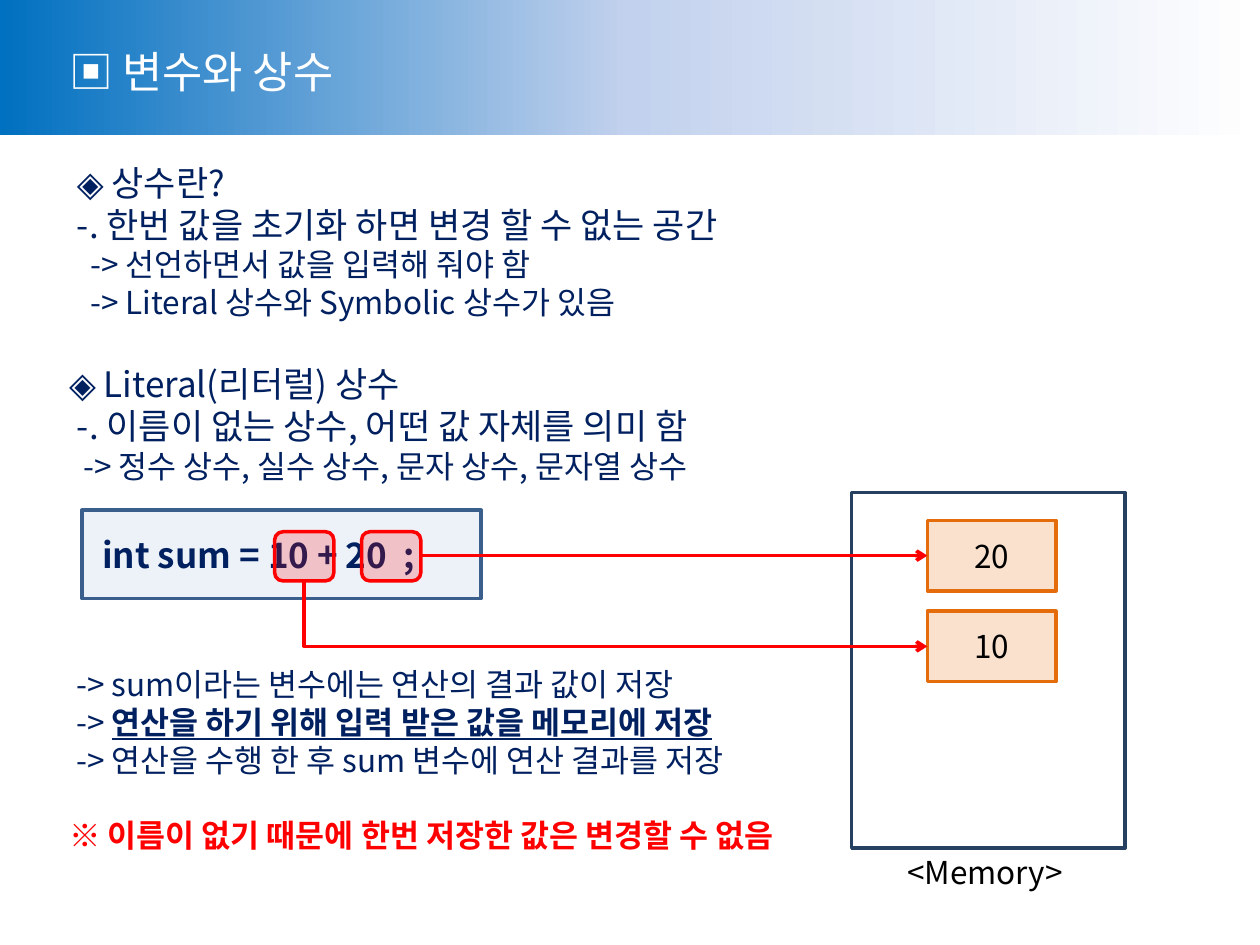
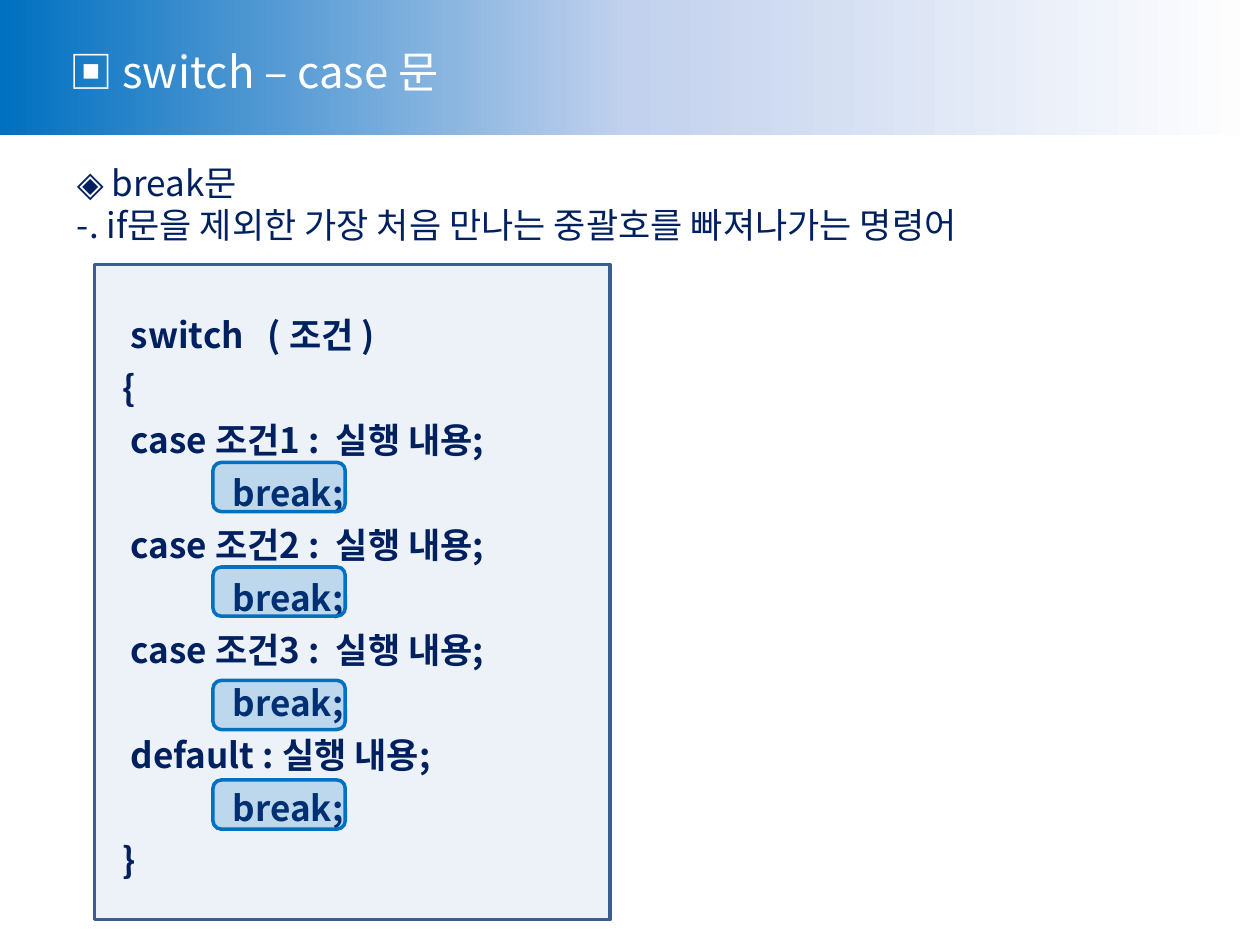
import copy
from dataclasses import dataclass

import pptx
import pptx.dml.color
import pptx.enum.dml
import pptx.enum.shapes
import pptx.enum.text
import pptx.oxml.ns
import pptx.util
from lxml import etree

Inches, Pt = pptx.util.Inches, pptx.util.Pt
qn = pptx.oxml.ns.qn
SHAPE = pptx.enum.shapes.MSO_SHAPE
CONNECTOR = pptx.enum.shapes.MSO_CONNECTOR
ALIGN = pptx.enum.text.PP_ALIGN


@dataclass(frozen=True)
class Theme:
    font: str = "Noto Sans CJK KR"
    navy: str = "002060"
    white: str = "FFFFFF"
    black: str = "000000"
    red: str = "FF0000"
    blue: str = "0070C0"
    orange: str = "E46C0A"
    frame: str = "254061"
    code_fill: str = "4F81BD"
    code_line: str = "3A5F8C"
    band: tuple = ((0, "0070C0"), (0.5, "C2D1ED"), (1, "FFFFFF"))
    title: int = 25
    head: int = 20
    body: int = 18
    line: int = 2
    code_leading: int = 30
    space: float = 0.224


T = Theme()
W, H = 10, 7.5
LEFT, TITLE_TOP, BODY_TOP, BAND_H = 0.45, 0.31, 1.23, 1.07
TAG_H = 0.39

# Each line: size, indent in spaces, space before in points, runs of (text, style)
CONSTANT_LINES = [
    (T.head, 1, 0, [("◈ 상수란?", {})]),
    (T.head, 1, 0, [("-. 한번 값을 초기화 하면 변경 할 수 없는 공간", {})]),
    (T.body, 3, 0, [("-> 선언하면서 값을 입력해 줘야 함", {})]),
    (T.body, 3, 0, [("-> Literal 상수와 Symbolic 상수가 있음", {})]),
    (T.head, 0, 24, [("◈ Literal(리터럴) 상수", {})]),
    (T.head, 1, 0, [("-. 이름이 없는 상수, 어떤 값 자체를 의미 함", {})]),
    (T.body, 2, 0, [("-> 정수 상수, 실수 상수, 문자 상수, 문자열 상수", {})]),
]
RESULT_LINES = [
    (T.body, 1, 0, [("-> sum이라는 변수에는 연산의 결과 값이 저장", {})]),
    (T.body, 1, 0, [("-> ", {}), ("연산을 하기 위해 입력 받은 값을 메모리에 저장",
                                  {"bold": True, "underline": True})]),
    (T.body, 1, 0, [("-> 연산을 수행 한 후 sum 변수에 연산 결과를 저장", {})]),
    (T.body, 0, 21.5, [("※ 이름이 없기 때문에 한번 저장한 값은 변경할 수 없음",
                        {"bold": True, "color": T.red})]),
]
BREAK_LINES = [
    (T.head, 1, 0, [("◈ break문", {})]),
    (T.head, 1, 0, [("-. if문을 제외한 가장 처음 만나는 중괄호를 빠져나가는 명령어", {})]),
]
SUM_CODE = [" int sum = 10 + 20  ;"]
SWITCH_CODE = ["   switch   ( 조건 )", "  {"]
for label in ("case 조건1 : ", "case 조건2 : ", "case 조건3 : ", "default :"):
    SWITCH_CODE += [f"   {label} 실행 내용;", "\tbreak;"]
SWITCH_CODE.append("  }")

MEMORY = (6.76, 3.91, 2.17, 2.82)
CELL_LEFT, CELL_TOP, CELL_W, CELL_H, CELL_STEP = 7.36, 4.13, 1.02, 0.56, 0.72
CELLS = ["20", "10"]
LITERAL_LEFTS, LITERAL_TOP, LITERAL_W = (2.87, 2.18), 4.22, 0.47
BREAK_LEFT, BREAK_TOPS, BREAK_W = 1.69, (3.67, 4.5, 5.4, 6.19), 1.05


def rgb(color):
    return pptx.dml.color.RGBColor.from_string(color)


def add_run(p, text, size, color=T.navy, bold=False, underline=False):
    r = p.add_run()
    r.text = text
    f = r.font
    f.name, f.size, f.bold, f.underline = T.font, Pt(size), bold, underline
    f.color.rgb = rgb(color)
    etree.SubElement(f._element, qn("a:ea"), typeface=T.font)


def paragraphs(tf, items):
    for i, item in enumerate(items):
        yield (tf.add_paragraph() if i else tf.paragraphs[0]), item


def add_text(s, at, lines, wrap=True):
    tf = s.shapes.add_textbox(*map(Inches, at)).text_frame
    tf.word_wrap = wrap
    tf.auto_size = pptx.enum.text.MSO_AUTO_SIZE.SHAPE_TO_FIT_TEXT
    for p, (size, indent, before, runs) in paragraphs(tf, lines):
        if indent:
            p._p.get_or_add_pPr().set("marL", str(Pt(indent * size * T.space)))
        if before:
            p.space_before = Pt(before)
        for text, style in runs:
            add_run(p, text, size, **style)


def add_box(s, at, line, fill=None, opacity=20, kind=SHAPE.RECTANGLE):
    sp = s.shapes.add_shape(kind, *map(Inches, at))
    sp.shadow.inherit = False
    sp.line.width = Pt(T.line)
    sp.line.color.rgb = rgb(line)
    if fill:
        sp.fill.solid()
        sp.fill.fore_color.rgb = rgb(fill)
        color = sp._element.spPr.find(qn("a:solidFill"))[0]
        etree.SubElement(color, qn("a:alpha"), val=str(opacity * 1000))
    else:
        sp.fill.background()
    sp.text_frame.vertical_anchor = pptx.enum.text.MSO_ANCHOR.MIDDLE
    return sp


def add_tag(s, left, top, width, color):
    add_box(s, (left, top, width, TAG_H), color, color, kind=SHAPE.ROUNDED_RECTANGLE)


def add_code(s, at, lines):
    tf = add_box(s, at, T.code_line, T.code_fill, 10).text_frame
    for p, text in paragraphs(tf, lines):
        p.alignment = ALIGN.LEFT
        if len(lines) > 1:
            p.line_spacing = Pt(T.code_leading)
        if "\t" in text:
            tabs = etree.SubElement(p._p.get_or_add_pPr(), qn("a:tabLst"))
            etree.SubElement(tabs, qn("a:tab"), pos=str(Inches(1)), algn="l")
        add_run(p, text, T.head, bold=True)


def add_arrow(s, kind, x1, y1, x2, y2):
    c = s.shapes.add_connector(kind, *map(Inches, (x1, y1, x2, y2)))
    c.line.width = Pt(T.line)
    c.line.color.rgb = rgb(T.red)
    etree.SubElement(c.line._get_or_add_ln(), qn("a:tailEnd"), type="arrow")
    etree.SubElement(c._element.spPr, qn("a:effectLst"))
    return c


def add_down_then_right(s, x1, y1, x2, y2):
    cx, cy = (x1 + x2) / 2, (y1 + y2) / 2
    half_w, half_h = (x2 - x1) / 2, (y2 - y1) / 2
    c = add_arrow(s, CONNECTOR.ELBOW, cx + half_h, cy - half_w, cx - half_h, cy + half_w)
    spPr = c._element.spPr
    spPr.find(qn("a:xfrm")).set("rot", str(270 * 60000))
    spPr.find(qn("a:prstGeom")).set("prst", "bentConnector2")


def add_slide(prs, title, title_width):
    s = prs.slides.add_slide(prs.slide_layouts[6])
    band = s.shapes.add_shape(SHAPE.RECTANGLE, 0, 0, Inches(W), Inches(BAND_H))
    band.shadow.inherit = False
    band.line.fill.background()
    band.fill.gradient()
    band.fill.gradient_angle = 0
    stops = band._element.spPr.find(qn("a:gradFill")).find(qn("a:gsLst"))
    stops.append(copy.deepcopy(stops[0]))
    for stop, (position, color) in zip(band.fill.gradient_stops, T.band):
        stop.position = position
        stop.color.rgb = rgb(color)
    add_text(s, (LEFT, TITLE_TOP, title_width, 0.52),
             [(T.title, 0, 0, [(title, {"color": T.white})])], wrap=False)
    return s


def build_constants(prs):
    s = add_slide(prs, "▣ 변수와 상수", 2.55)
    add_text(s, (LEFT, BODY_TOP, 9.12, 2.69), CONSTANT_LINES)
    add_code(s, (0.65, 4.05, 3.17, 0.7), SUM_CODE)
    add_box(s, MEMORY, T.frame)
    add_text(s, (7.1, 6.72, 1.52, 0.4),
             [(T.body, 0, 0, [("<Memory>", {"color": T.black})])], wrap=False)
    add_text(s, (LEFT, 5.23, 6.32, 1.92), RESULT_LINES)
    for i, value in enumerate(CELLS):
        at = (CELL_LEFT, CELL_TOP + i * CELL_STEP, CELL_W, CELL_H)
        p = add_box(s, at, T.orange, T.orange).text_frame.paragraphs[0]
        p.alignment = ALIGN.CENTER
        add_run(p, value, T.body, T.black)
    for left in LITERAL_LEFTS:
        add_tag(s, left, LITERAL_TOP, LITERAL_W, T.red)
    right, lower = LITERAL_LEFTS
    cell_y = CELL_TOP + CELL_H / 2
    add_arrow(s, CONNECTOR.STRAIGHT, right + LITERAL_W, cell_y, CELL_LEFT, cell_y)
    add_down_then_right(s, lower + LITERAL_W / 2, LITERAL_TOP + TAG_H,
                        CELL_LEFT, cell_y + CELL_STEP)


def build_switch(prs):
    s = add_slide(prs, "▣ switch – case 문", 3.25)
    add_text(s, (LEFT, BODY_TOP, 9.04, 0.77), BREAK_LINES)
    add_code(s, (0.75, 2.1, 4.09, 5.2), SWITCH_CODE)
    for top in BREAK_TOPS:
        add_tag(s, BREAK_LEFT, top, BREAK_W, T.blue)


def main():
    prs = pptx.Presentation()
    prs.slide_width, prs.slide_height = Inches(W), Inches(H)
    build_constants(prs)
    build_switch(prs)
    prs.save("out.pptx")


if __name__ == "__main__":
    main()
